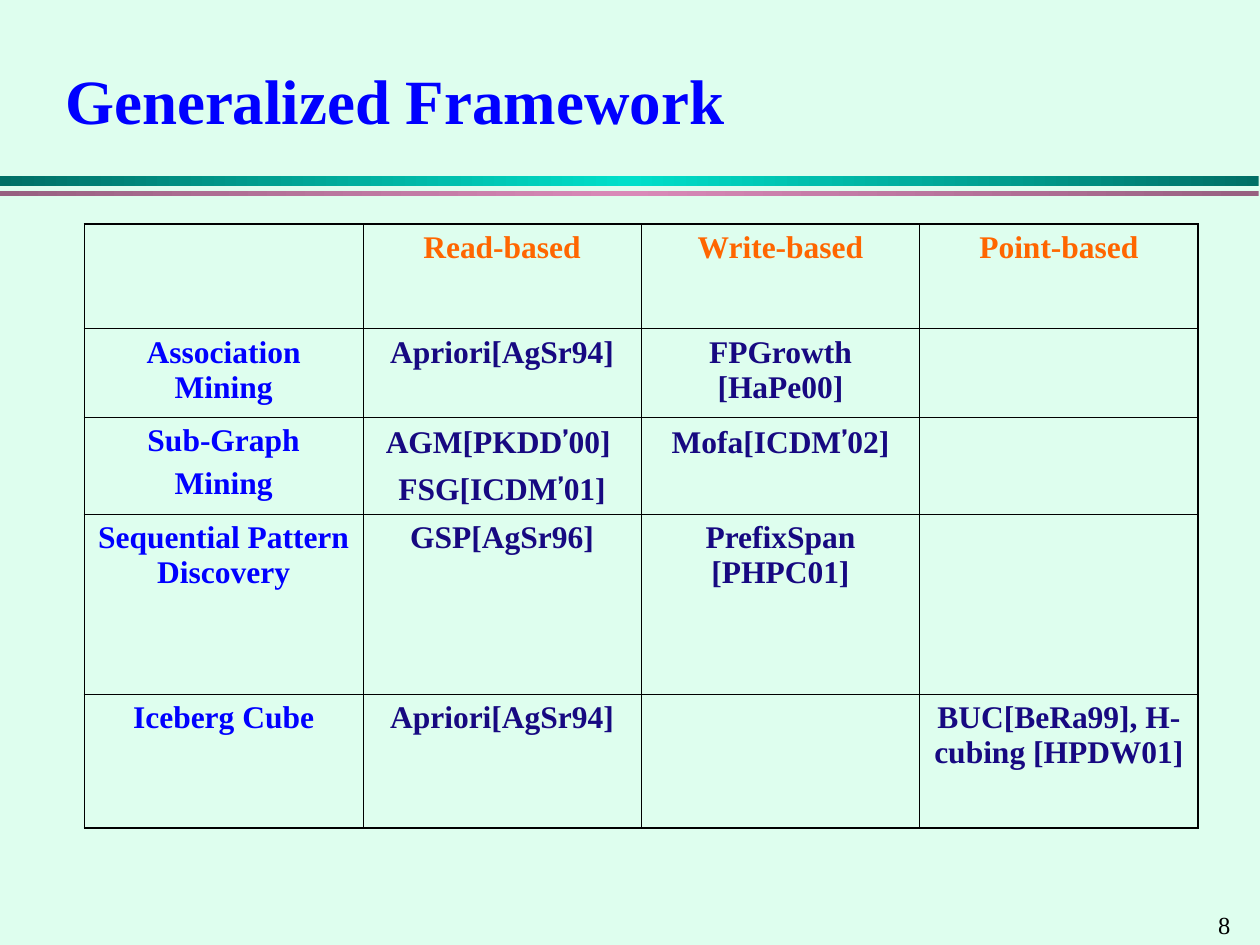
from copy import deepcopy
from dataclasses import dataclass

from lxml.etree import SubElement
from pptx import Presentation
from pptx.dml.color import RGBColor
from pptx.enum.shapes import MSO_SHAPE
from pptx.enum.text import MSO_ANCHOR, PP_ALIGN
from pptx.oxml.ns import qn
from pptx.util import Inches, Pt


@dataclass(frozen=True)
class Theme:
    back: str = "DEFEEE"
    blue: str = "0000FF"
    head: str = "FF6600"
    body: str = "170981"
    black: str = "000000"
    teal: tuple = ("006F65", "00DFCA", "006F65")
    pink: tuple = ("976080", "D989B8", "976080")
    font: str = "Times New Roman"
    mark: str = "Cabin"
    title: int = 36
    cell: int = 18
    page: int = 14
    gap: float = 4.5
    thin: float = 0.45
    thick: float = 1.08


THEME = Theme()
WIDTHS = [2.21] * 4
HEIGHTS = [0.83, 0.7, 0.77, 1.43, 1.06]
ROWS = [
    ["", "Read-based", "Write-based", "Point-based"],
    ["Association Mining", "Apriori[AgSr94]", "FPGrowth [HaPe00]", ""],
    ["Sub-Graph\nMining", "AGM[PKDD’00] \nFSG[ICDM’01]", "Mofa[ICDM’02]", ""],
    ["Sequential Pattern Discovery", "GSP[AgSr96]", "PrefixSpan [PHPC01]", ""],
    ["Iceberg Cube", "Apriori[AgSr94]", "", "BUC[BeRa99], H-cubing [HPDW01]"],
]


def style(item, form):
    for name, value in form.items():
        setattr(item, name, value)


def add_run(para, text, size, color, bold, face=THEME.font):
    run = para.add_run()
    run.text = text
    style(run.font, {"name": face, "size": Pt(size), "bold": bold})
    run.font.color.rgb = RGBColor.from_string(color)


def add_text(slide, box, text, size, color, bold=False, wrap=True):
    frame = slide.shapes.add_textbox(*map(Inches, box)).text_frame
    style(frame, {"word_wrap": wrap,
                  "vertical_anchor": MSO_ANCHOR.MIDDLE if bold else MSO_ANCHOR.TOP})
    add_run(frame.paragraphs[0], text, size, color, bold)


def add_band(slide, top, height, colors):
    band = slide.shapes.add_shape(
        MSO_SHAPE.RECTANGLE, 0, Inches(top), Inches(9.99), Inches(height))
    band.shadow.inherit = False
    band.line.fill.background()
    band.fill.gradient()
    band.fill.gradient_angle = 0
    # The default gradient has two stops; a third makes the middle glow
    stops = band._element.spPr.find(qn("a:gradFill")).find(qn("a:gsLst"))
    stops.append(deepcopy(stops[0]))
    for stop, spot, color in zip(band.fill.gradient_stops, (0, 0.5, 1), colors):
        stop.position = spot
        stop.color.rgb = RGBColor.from_string(color)


def set_edges(cell, outer):
    props = cell._tc.get_or_add_tcPr()
    fill = props.find(qn("a:noFill"))
    for side in "LRTB":
        width = THEME.thick if side in outer else THEME.thin
        line = SubElement(props, qn(f"a:ln{side}"), w=str(Pt(width)))
        paint = SubElement(line, qn("a:solidFill"))
        SubElement(paint, qn("a:srgbClr"), val=THEME.black)
    # Borders must stand before the fill
    props.append(fill)


def fill_cell(cell, text, color):
    for i, line in enumerate(text.split("\n")):
        frame = cell.text_frame
        para = frame.add_paragraph() if i else frame.paragraphs[0]
        style(para, {"alignment": PP_ALIGN.CENTER,
                     "space_before": Pt(THEME.gap if i else 0)})
        # The apostrophe has its own typeface
        for j, part in enumerate(line.split("’")):
            if j:
                add_run(para, "’", THEME.cell, color, True, THEME.mark)
            if part:
                add_run(para, part, THEME.cell, color, True)


def add_grid(slide):
    frame = slide.shapes.add_table(
        len(ROWS), len(WIDTHS), Inches(0.67), Inches(1.78),
        Inches(sum(WIDTHS)), Inches(sum(HEIGHTS)))
    table = frame.table
    style(table, {"first_row": False, "horz_banding": False})
    for col, width in zip(table.columns, WIDTHS):
        col.width = Inches(width)
    for row, height in zip(table.rows, HEIGHTS):
        row.height = Inches(height)
    for r, row in enumerate(ROWS):
        for c, text in enumerate(row):
            cell = table.cell(r, c)
            cell.fill.background()
            color = THEME.head if r == 0 else THEME.blue if c == 0 else THEME.body
            fill_cell(cell, text, color)
            sides = {"L": c == 0, "R": c == len(row) - 1,
                     "T": r == 0, "B": r == len(ROWS) - 1}
            set_edges(cell, [side for side, rim in sides.items() if rim])


def main():
    deck = Presentation()
    style(deck, {"slide_width": Inches(10), "slide_height": Inches(7.5)})
    slide = deck.slides.add_slide(deck.slide_layouts[6])
    slide.background.fill.solid()
    slide.background.fill.fore_color.rgb = RGBColor.from_string(THEME.back)

    # Bands under the title
    add_band(slide, 1.4, 0.08, THEME.teal)
    add_band(slide, 1.52, 0.04, THEME.pink)

    # Page number and title
    add_text(slide, (9.57, 7.17, 0.43, 0.34), "8", THEME.page, THEME.black, wrap=False)
    add_text(slide, (0.42, 0.42, 9.17, 0.73), "Generalized Framework",
             THEME.title, THEME.blue, bold=True)

    # Table of methods
    add_grid(slide)
    deck.save("out.pptx")


if __name__ == "__main__":
    main()
